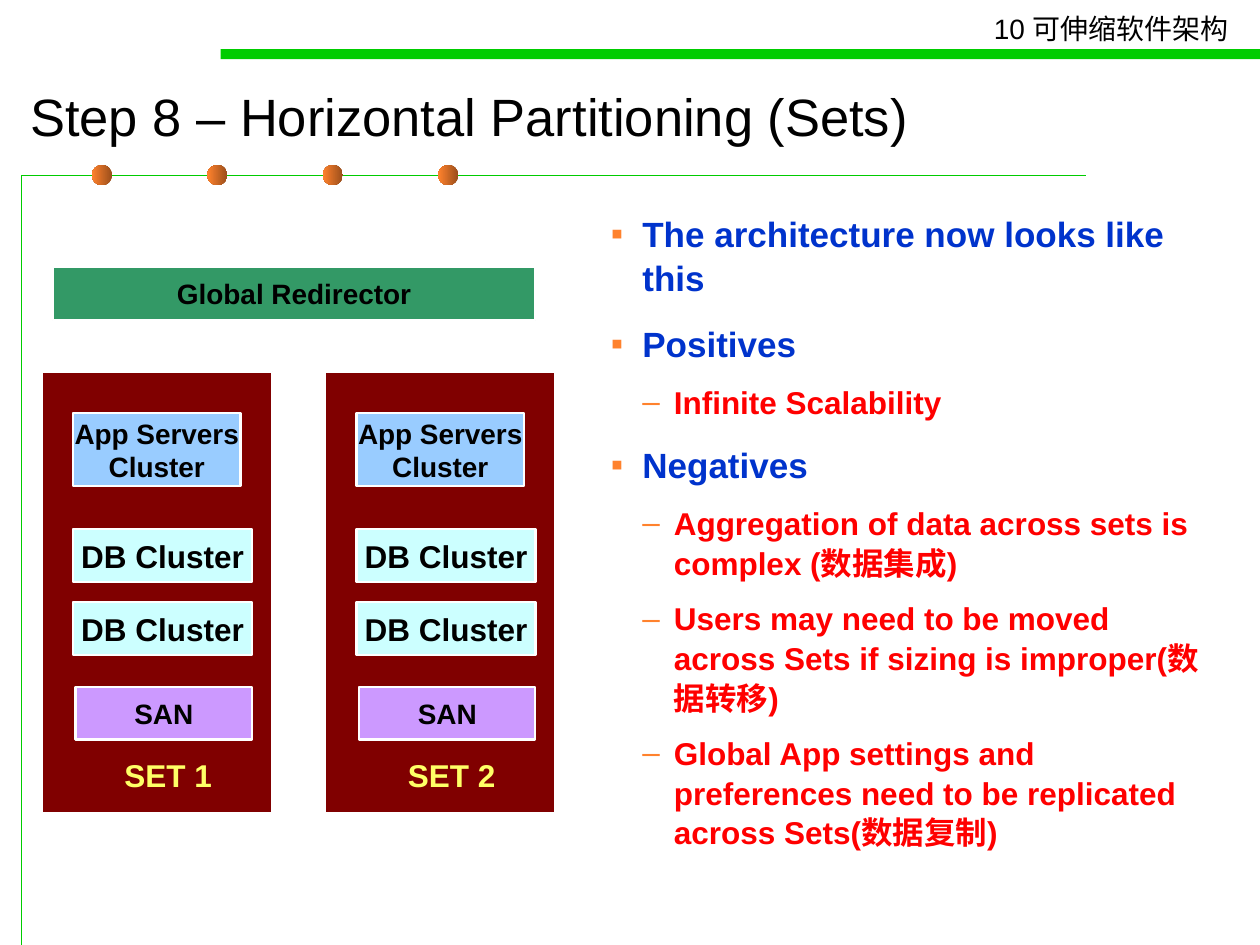
from dataclasses import dataclass

from lxml import etree
from pptx import Presentation
from pptx.dml.color import RGBColor
from pptx.enum.shapes import MSO_SHAPE
from pptx.enum.text import MSO_ANCHOR, MSO_AUTO_SIZE, PP_ALIGN
from pptx.oxml.ns import qn
from pptx.util import Inches, Pt

RECT, OVAL = MSO_SHAPE.RECTANGLE, MSO_SHAPE.OVAL
LEFT, CENTER = PP_ALIGN.LEFT, PP_ALIGN.CENTER
TOP, MIDDLE = MSO_ANCHOR.TOP, MSO_ANCHOR.MIDDLE
NO_FIT = MSO_AUTO_SIZE.NONE


@dataclass(frozen=True)
class Theme:
    font: str = "Arial"
    title: int = 30
    large: int = 20
    medium: int = 18
    small: int = 16
    black: str = "000000"
    white: str = "FFFFFF"
    green: str = "00CC00"
    orange: str = "FF822D"
    brown: str = "9A4E1B"
    redirector: str = "339966"
    maroon: str = "800000"
    app: str = "99CCFF"
    db: str = "CCFFFF"
    san: str = "CC99FF"
    set_label: str = "FFFF66"
    point: str = "0033CC"
    detail: str = "FF0000"


@dataclass(frozen=True)
class Box:
    text: str
    x: float
    y: float
    w: float
    h: float
    fill: str
    size: int


@dataclass(frozen=True)
class Level:
    bullet: str
    indent: float
    before: float
    after: float
    size: int
    color: str


T = Theme()
REDIRECTOR = Box("Global Redirector", 0.42, 2.12, 3.83, 0.42, T.redirector, T.small)
SET_BOXES = (
    Box("", 0, 0, 1.83, 3.5, T.maroon, T.small),
    Box("App Servers\nCluster", 0.25, 0.33, 1.33, 0.58, T.app, T.small),
    Box("DB Cluster", 0.25, 1.25, 1.42, 0.42, T.db, T.medium),
    Box("DB Cluster", 0.25, 1.83, 1.42, 0.42, T.db, T.medium),
    Box("SAN", 0.27, 2.5, 1.4, 0.42, T.san, T.small),
)
SET_X, SET_Y, SET_STEP = 0.33, 2.95, 2.25
POINT = Level("▪", 0.25, 8.8, 3.7, T.large, T.point)
DETAIL = Level("–", 0.5, 5.6, 3.4, T.medium, T.detail)
POINTS = (
    (POINT, "The architecture now looks like this"),
    (POINT, "Positives"),
    (DETAIL, "Infinite Scalability"),
    (POINT, "Negatives"),
    (DETAIL, "Aggregation of data across sets is complex (数据集成)"),
    (DETAIL, "Users may need to be moved across Sets if sizing is improper(数据转移)"),
    (DETAIL, "Global App settings and preferences need to be replicated across Sets(数据复制)"),
)


def rgb(color: str) -> RGBColor:
    return RGBColor.from_string(color)


def write(p, text: str, *, size: int, color: str = T.black, bold: bool = False,
          align=LEFT) -> None:
    r = p.add_run()
    r.text = text
    p.alignment = align
    r.font.name = T.font
    r.font.size = Pt(size)
    r.font.bold = bold
    r.font.color.rgb = rgb(color)


def set_frame(tf, *, wrap: bool = True, anchor=TOP, insets=(0.1, 0.05, 0.1, 0.05)) -> None:
    tf.auto_size = NO_FIT
    tf.word_wrap = wrap
    tf.vertical_anchor = anchor
    tf.margin_left, tf.margin_top, tf.margin_right, tf.margin_bottom = map(Inches, insets)


def add_shape(s, kind, x: float, y: float, w: float, h: float):
    sp = s.shapes.add_shape(kind, Inches(x), Inches(y), Inches(w), Inches(h))
    sp.shadow.inherit = False
    sp.line.fill.background()
    return sp


def add_text_box(s, x: float, y: float, w: float, h: float, wrap: bool = True):
    tf = s.shapes.add_textbox(Inches(x), Inches(y), Inches(w), Inches(h)).text_frame
    set_frame(tf, wrap=wrap)
    return tf


def add_box(s, box: Box, dx: float = 0, dy: float = 0) -> None:
    sp = add_shape(s, RECT, box.x + dx, box.y + dy, box.w, box.h)
    sp.fill.solid()
    sp.fill.fore_color.rgb = rgb(box.fill)
    sp.line.color.rgb = rgb(T.white)
    sp.line.width = Pt(1.25)
    tf = sp.text_frame
    set_frame(tf, wrap=False, anchor=MIDDLE)
    for i, text in enumerate(box.text.splitlines()):
        p = tf.add_paragraph() if i else tf.paragraphs[0]
        write(p, text, size=box.size, bold=True, align=CENTER)


def add_set(s, index: int) -> None:
    x = SET_X + index * SET_STEP
    for box in SET_BOXES:
        add_box(s, box, x, SET_Y)
    tf = add_text_box(s, x + 0.17, SET_Y + 3, 1.67, 0.4)
    write(tf.paragraphs[0], f"SET {index + 1}", size=T.medium, color=T.set_label,
          bold=True, align=CENTER)


def set_bullet(p, level: Level) -> None:
    pPr = p._p.get_or_add_pPr()
    pPr.set("marL", str(Inches(level.indent)))
    pPr.set("indent", str(Inches(-0.25)))
    clr = etree.SubElement(pPr, qn("a:buClr"))
    etree.SubElement(clr, qn("a:srgbClr"), val=T.orange)
    etree.SubElement(pPr, qn("a:buFont"), typeface=T.font)
    etree.SubElement(pPr, qn("a:buChar"), char=level.bullet)


def add_points(s) -> None:
    tf = add_text_box(s, 4.75, 1.62, 5, 5.52)
    for i, (level, text) in enumerate(POINTS):
        p = tf.add_paragraph() if i else tf.paragraphs[0]
        p.level = int(level is DETAIL)
        set_bullet(p, level)
        p.line_spacing = 1.05
        p.space_before = Pt(level.before if i else 0)
        p.space_after = Pt(level.after)
        write(p, text, size=level.size, color=level.color, bold=True)


def add_decoration(s) -> None:
    builder = s.shapes.build_freeform(Inches(0.17), Inches(7.5))
    builder.add_line_segments(
        [(Inches(0.17), Inches(1.39)), (Inches(8.62), Inches(1.39))], close=False)
    rule = builder.convert_to_shape()
    rule.shadow.inherit = False
    rule.fill.background()
    rule.line.color.rgb = rgb(T.green)
    rule.line.width = Pt(0.75)
    for i in range(4):
        dot = add_shape(s, OVAL, 0.73 + i * 0.916, 1.31, 0.16, 0.16)
        dot.fill.gradient()
        dot.fill.gradient_angle = 180
        for stop, color in zip(dot.fill.gradient_stops, (T.brown, T.orange)):
            stop.color.rgb = rgb(color)
    bar = add_shape(s, RECT, 1.75, 0.39, 8.25, 0.08)
    bar.fill.solid()
    bar.fill.fore_color.rgb = rgb(T.green)
    tf = add_text_box(s, 7.79, 0.04, 2.11, 0.37, wrap=False)
    write(tf.paragraphs[0], "10 可伸缩软件架构", size=T.small)


def add_title(s) -> None:
    sp = s.shapes.title
    sp.left, sp.top, sp.width, sp.height = map(Inches, (0.14, 0.56, 9.29, 0.71))
    set_frame(sp.text_frame, anchor=MIDDLE, insets=(0.1, 0.06, 0.14, 0.06))
    write(sp.text_frame.paragraphs[0], "Step 8 – Horizontal Partitioning (Sets)", size=T.title)


def main() -> None:
    prs = Presentation()
    prs.slide_width, prs.slide_height = Inches(10), Inches(7.5)
    s = prs.slides.add_slide(prs.slide_layouts[5])
    add_decoration(s)
    add_title(s)
    add_box(s, REDIRECTOR)
    for index in range(2):
        add_set(s, index)
    add_points(s)
    prs.save("out.pptx")


if __name__ == "__main__":
    main()
